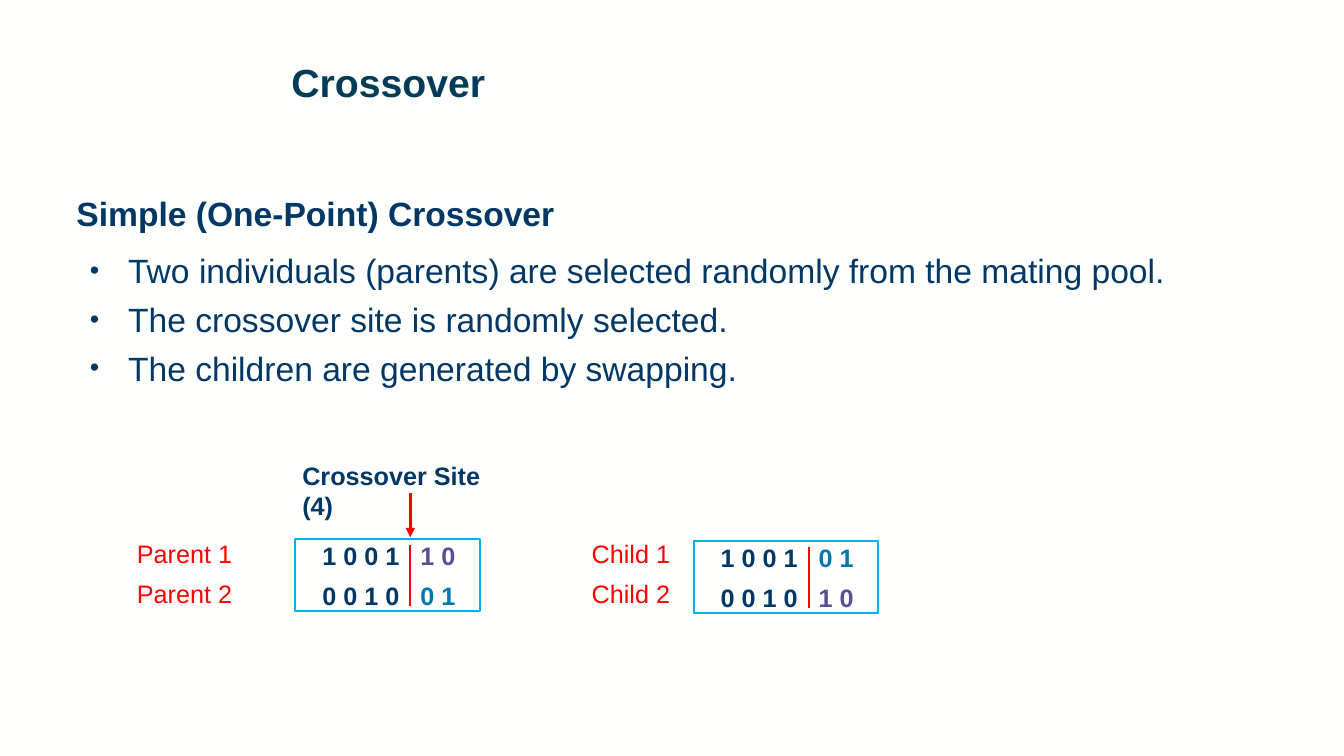
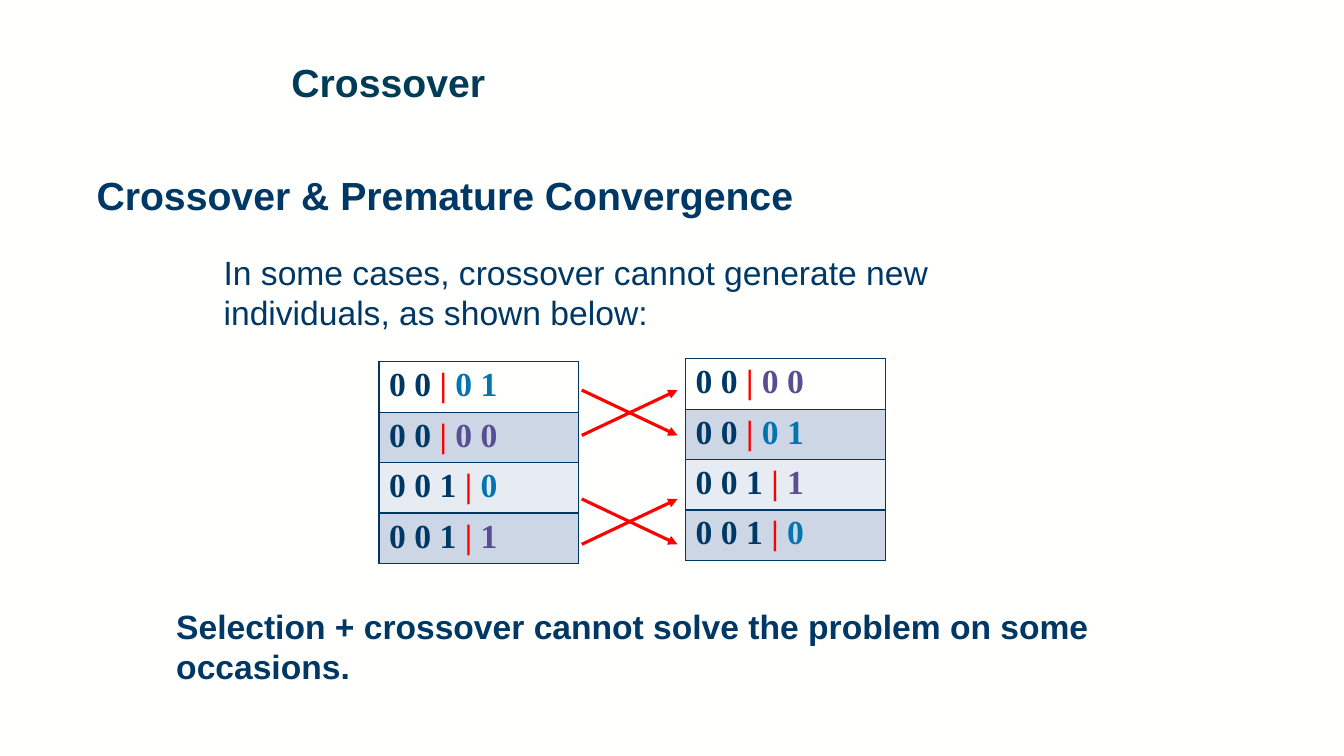
from dataclasses import dataclass

from lxml import etree
from pptx import Presentation
from pptx.dml.color import RGBColor
from pptx.enum.shapes import MSO_CONNECTOR, MSO_SHAPE
from pptx.enum.text import MSO_ANCHOR, MSO_AUTO_SIZE, PP_ALIGN
from pptx.oxml.ns import qn
from pptx.util import Emu, Pt

LINE = MSO_CONNECTOR.STRAIGHT
RECT = MSO_SHAPE.RECTANGLE
TOP, MIDDLE = MSO_ANCHOR.TOP, MSO_ANCHOR.MIDDLE
LEFT = PP_ALIGN.LEFT
NO_FIT = MSO_AUTO_SIZE.NONE

# Shared style; 100 px to the inch
EMU_PER_PX = 9144
SANS, SERIF = "Arial", "Times New Roman"
PAPER, TITLE, NAVY = "FFFFFE", "003B58", "003865"
RED, PURPLE, BLUE, SKY = "FF0000", "5B4D93", "0075B0", "00B0F0"
ROW_FILLS = [PAPER, "CCD6E4", "E7ECF2", "CCD6E4"]
ROW_H = 50


@dataclass
class Label:
    text: str
    x: int
    y: int
    w: int
    h: int
    size: int = 18
    color: str = NAVY
    bold: bool = False
    anchor: int = TOP


@dataclass
class Bits:
    head: str
    tail: str
    color: str


@dataclass
class Pair:
    x: int
    y: int
    rows: list[Bits]


def px(n: int) -> Emu:
    return Emu(n * EMU_PER_PX)


def rgb(value: str) -> RGBColor:
    return RGBColor.from_string(value)


def style(r, size: int, color: str, bold: bool = False, font: str = SANS) -> None:
    r.font.name, r.font.size, r.font.bold = font, Pt(size), bold
    r.font.color.rgb = rgb(color)


def sub(parent, tag: str, **attrs: str):
    return etree.SubElement(parent, qn(tag), attrs)


def place(sp, x: int, y: int, w: int, h: int) -> None:
    sp.left, sp.top, sp.width, sp.height = px(x), px(y), px(w), px(h)


def set_frame(tf, anchor: int = TOP) -> None:
    tf.word_wrap, tf.auto_size, tf.vertical_anchor = True, NO_FIT, anchor


def add_slide(prs, layout: int, title: str):
    slide = prs.slides.add_slide(prs.slide_layouts[layout])
    sp = slide.shapes.title
    place(sp, 279, 58, 1007, 97)
    set_frame(sp.text_frame)
    sp.text_frame.text = title
    p = sp.text_frame.paragraphs[0]
    p.alignment, p.line_spacing = LEFT, 0.9
    style(p.runs[0], 28, TITLE, True)
    return slide


def add_label(slide, label: Label) -> None:
    sp = slide.shapes.add_textbox(px(label.x), px(label.y), px(label.w), px(label.h))
    set_frame(sp.text_frame, label.anchor)
    sp.text_frame.text = label.text
    style(sp.text_frame.paragraphs[0].runs[0], label.size, label.color, label.bold)


def add_bullets(sp, items: list[str]) -> None:
    tf = sp.text_frame
    set_frame(tf)
    tf.text = "\n".join(items)
    for i, p in enumerate(tf.paragraphs):
        pPr = p._p.get_or_add_pPr()
        pPr.set("marL", str(px(38)))
        pPr.set("indent", str(px(-38)))
        sub(sub(pPr, "a:buClr"), "a:srgbClr", val=NAVY)
        sub(pPr, "a:buSzPct", val="80000")
        sub(pPr, "a:buFont", typeface=SANS)
        sub(pPr, "a:buChar", char="•")
        p.space_before = Pt(6 if i else 0)
        style(p.runs[0], 24, NAVY)


def add_line(slide, x1: int, y1: int, x2: int, y2: int,
             width: float = 2.25, arrow: bool = True) -> None:
    cxn = slide.shapes.add_connector(LINE, px(x1), px(y1), px(x2), px(y2))
    cxn.line.color.rgb = rgb(RED)
    cxn.line.width = Pt(width)
    if arrow:
        sub(cxn.line._get_or_add_ln(), "a:tailEnd", type="triangle")
    sub(cxn._element.spPr, "a:effectLst")


def add_bits(p, parts: list[tuple[str, str]], size: int, font: str) -> None:
    for text, color in parts:
        r = p.add_run()
        r.text = text
        style(r, size, color, True, font)


def add_pair(slide, pair: Pair) -> None:
    """Two bit strings in a frame, split at the crossover site."""
    for i, bits in enumerate(pair.rows):
        sp = slide.shapes.add_textbox(px(pair.x + 17), px(pair.y - 4 + 40 * i), px(153), px(40))
        set_frame(sp.text_frame)
        p = sp.text_frame.paragraphs[0]
        tabs = sub(p._p.get_or_add_pPr(), "a:tabLst")
        sub(tabs, "a:tab", pos=str(px(97)), algn="l")
        add_bits(p, [(bits.head + "\t", NAVY), (bits.tail, bits.color)], 18, SANS)
    add_line(slide, pair.x + 114, pair.y + 66, pair.x + 114, pair.y + 6, 1.5, False)
    sp = slide.shapes.add_shape(RECT, px(pair.x), px(pair.y), px(183), px(71))
    sp.shadow.inherit = False
    sp.fill.background()
    sp.line.color.rgb = rgb(SKY)
    sp.line.width = Pt(1.5)


def add_population(slide, pop: Pair) -> None:
    """One-column table of bit strings."""
    n = len(pop.rows)
    table = slide.shapes.add_table(n, 1, px(pop.x), px(pop.y), px(198), px(ROW_H * n)).table
    table.first_row = table.horz_banding = False
    for i, (bits, fill) in enumerate(zip(pop.rows, ROW_FILLS)):
        table.rows[i].height = px(ROW_H)
        cell = table.cell(i, 0)
        parts = [(bits.head + " ", NAVY), ("| ", RED), (bits.tail, bits.color)]
        add_bits(cell.text_frame.paragraphs[0], parts, 24, SERIF)
        tcPr = cell._tc.get_or_add_tcPr()
        for side in ("a:lnL", "a:lnR", "a:lnT", "a:lnB"):
            ln = sub(tcPr, side, w=str(Pt(1)))
            sub(sub(ln, "a:solidFill"), "a:srgbClr", val=NAVY)
        cell.fill.solid()
        cell.fill.fore_color.rgb = rgb(fill)


def build_one_point(prs) -> None:
    slide = add_slide(prs, 1, "Crossover")
    body = slide.placeholders[1]
    place(body, 79, 243, 1088, 229)
    add_bullets(body, [
        "Two individuals (parents) are selected randomly from the mating pool.",
        "The crossover site is randomly selected.",
        "The children are generated by swapping.",
    ])
    add_label(slide, Label("Simple (One-Point) Crossover", 66, 149, 850, 125, 24,
                           bold=True, anchor=MIDDLE))
    # Parents and children
    add_label(slide, Label("Crossover Site (4)", 290, 452, 231, 40, bold=True))
    for name, x in (("Parent", 126), ("Child", 577)):
        for i in range(2):
            add_label(slide, Label(f"{name} {i + 1}", x, 529 + 40 * i, 147, 40, color=RED))
    add_pair(slide, Pair(293, 535, [Bits("1 0 0 1", "1 0", PURPLE), Bits("0 0 1 0", "0 1", BLUE)]))
    add_pair(slide, Pair(688, 537, [Bits("1 0 0 1", "0 1", BLUE), Bits("0 0 1 0", "1 0", PURPLE)]))
    add_line(slide, 407, 489, 407, 533)


def build_convergence(prs) -> None:
    slide = add_slide(prs, 5, "Crossover")
    for label in (
        Label("Crossover & Premature Convergence", 86, 131, 906, 125, 28, bold=True, anchor=MIDDLE),
        Label("In some cases, crossover cannot generate new individuals, as shown below:",
              212, 245, 850, 83, 24),
        Label("Selection + crossover cannot solve the problem on some occasions.",
              165, 596, 944, 91, 24, bold=True),
    ):
        add_label(slide, label)
    # Populations before and after; each pair of rows swaps places
    a, b = Bits("0 0", "0 1", BLUE), Bits("0 0", "0 0", PURPLE)
    c, d = Bits("0 0 1", "0", BLUE), Bits("0 0 1", "1", PURPLE)
    add_population(slide, Pair(376, 359, [a, b, c, d]))
    add_population(slide, Pair(680, 356, [b, a, d, c]))
    for y in (387, 495):
        add_line(slide, 577, y, 672, y + 45)
        add_line(slide, 577, y + 45, 672, y)


def main() -> None:
    prs = Presentation()
    prs.slide_width, prs.slide_height = px(1333), px(750)
    fill = prs.slide_master.background.fill
    fill.solid()
    fill.fore_color.rgb = rgb(PAPER)
    build_one_point(prs)
    build_convergence(prs)
    prs.save("out.pptx")


if __name__ == "__main__":
    main()
